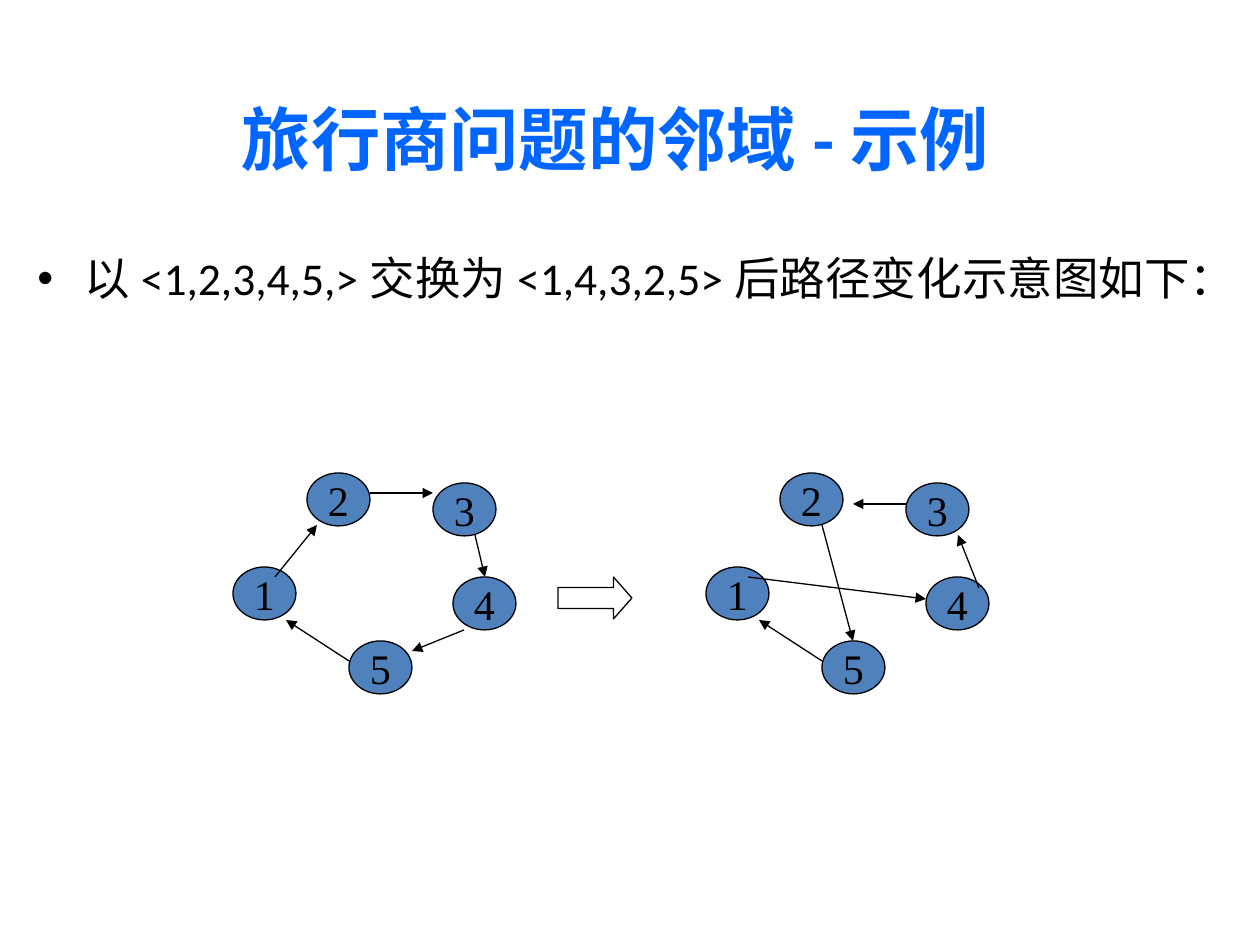
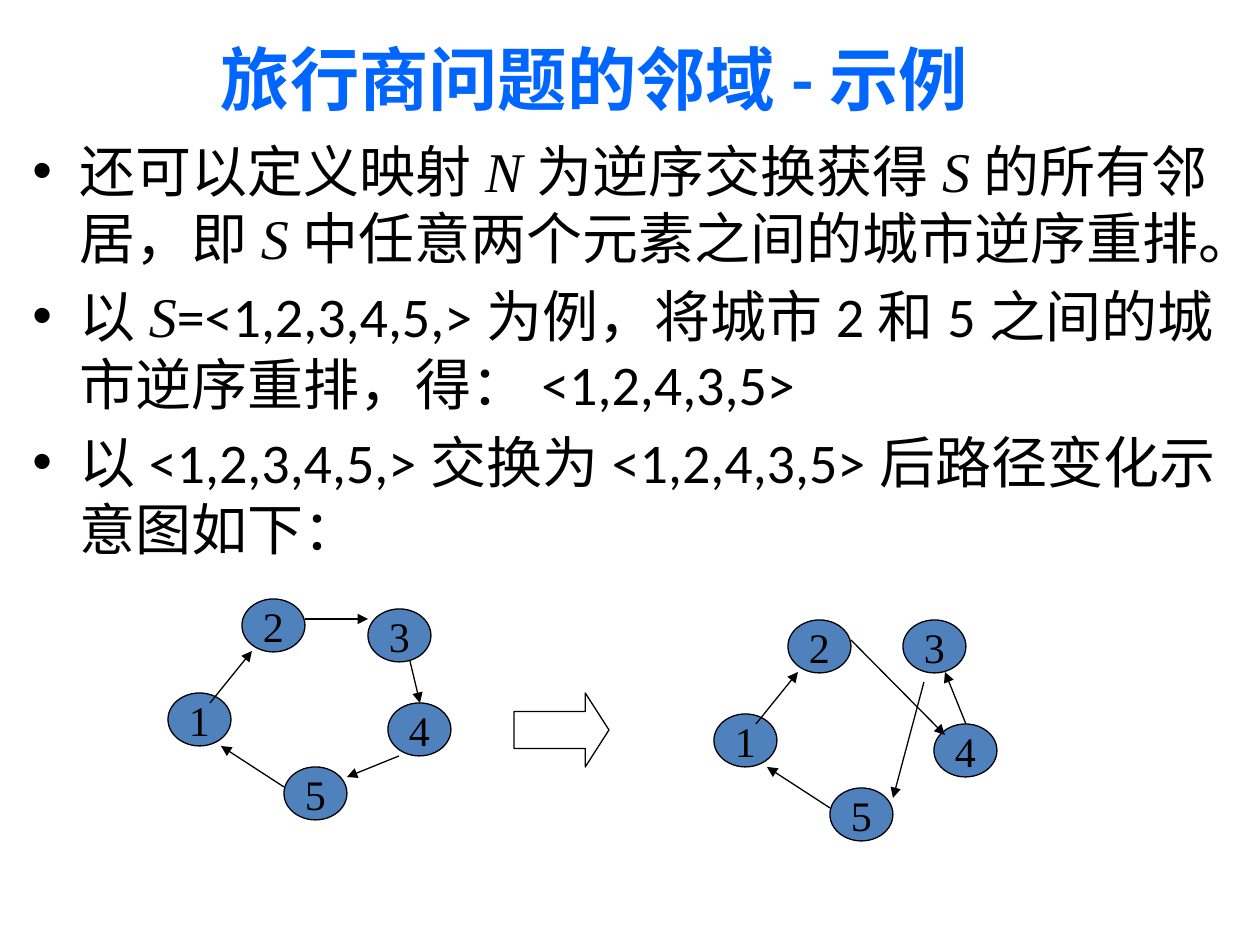
import pptx
import pptx.util
import pptx.dml.color
import pptx.enum.shapes
import pptx.enum.text
import pptx.oxml
import pptx.oxml.ns
import lxml.etree

SCALE = 914400 // 126  # EMU per px
COLORS = {"title": "0066FF", "text": "000000", "node": "4F81BD", "arrow": "FFFFFF"}
SANS, SERIF = "Calibri", "Times New Roman"
TITLE = "旅行商问题的邻域-示例"
INDENT = 47
NODE_W, NODE_H = 63, 53

# Graph layouts, measured from the corner of node 1
RING = {"1": (0, 0), "5": (116, 74), "3": (200, -84), "2": (74, -94), "4": (220, 10)}
SQUARE = {**RING, "3": (189, -94)}

# Edges as (from x, from y, to x, to y)
ONE_TWO = (42, 10, 84, -42)
FIVE_ONE = (116, 94, 53, 53)
TOUR = [ONE_TWO, (137, -74, 200, -74), (242, -32, 252, 10),
        (231, 63, 179, 84), FIVE_ONE]
SWAP = [(42, 10, 220, 32), (116, -42, 147, 74), (200, -63, 147, -63),
        (273, 21, 252, -32), FIVE_ONE]
TURN = [ONE_TWO, (137, -74, 231, 21), (252, 10, 231, -42),
        (210, -32, 179, 84), FIVE_ONE]


def px(*values):
    return [pptx.util.Emu(value * SCALE) for value in values]


def color(name):
    return pptx.dml.color.RGBColor.from_string(COLORS[name])


def style(para, size, face, tint="text", bold=False):
    para.font.size = pptx.util.Pt(size)
    para.font.name = face
    para.font.bold = bold
    para.font.color.rgb = color(tint)


def add_box(slide, box):
    frame = slide.shapes.add_textbox(*px(*box)).text_frame
    frame.word_wrap = True
    return frame


def add_title(slide, box):
    frame = add_box(slide, box)
    frame.vertical_anchor = pptx.enum.text.MSO_ANCHOR.MIDDLE
    para = frame.paragraphs[0]
    para.text = TITLE
    para.alignment = pptx.enum.text.PP_ALIGN.CENTER
    style(para, 39.6, SANS, "title", True)


def add_bullet(para):
    props = para._p.get_or_add_pPr()
    props.set("marL", str(INDENT * SCALE))
    props.set("indent", str(-INDENT * SCALE))
    mark = lxml.etree.Element(pptx.oxml.ns.qn("a:buChar"), char="•")
    font = lxml.etree.Element(pptx.oxml.ns.qn("a:buFont"), typeface="Arial")
    place = props.find(pptx.oxml.ns.qn("a:defRPr"))
    place.addprevious(font)
    place.addprevious(mark)


def add_body(slide, box, size, lines):
    """Add bullets; text between asterisks is an italic symbol."""
    frame = add_box(slide, box)
    for num, line in enumerate(lines):
        para = frame.add_paragraph() if num else frame.paragraphs[0]
        style(para, size, SANS)
        para.space_before = pptx.util.Pt(size * 0.2)
        add_bullet(para)
        for part, text in enumerate(line.split("*")):
            run = para.add_run()
            run.text = text
            if part % 2:
                run.font.name = SERIF
                run.font.italic = True


def add_form(group, kind, box, fill):
    form = group.shapes.add_shape(kind, *px(*box))
    form.shadow.inherit = False
    form.fill.solid()
    form.fill.fore_color.rgb = color(fill)
    form.line.color.rgb = color("text")
    form.line.width = pptx.util.Pt(0.75)
    return form


def add_node(group, label, left, top):
    kind = pptx.enum.shapes.MSO_SHAPE.OVAL
    frame = add_form(group, kind, (left, top, NODE_W, NODE_H), "node").text_frame
    frame.word_wrap = False
    frame.vertical_anchor = pptx.enum.text.MSO_ANCHOR.MIDDLE
    para = frame.paragraphs[0]
    para.text = label
    para.alignment = pptx.enum.text.PP_ALIGN.CENTER
    style(para, 24, SERIF)


def add_edge(group, ends):
    kind = pptx.enum.shapes.MSO_CONNECTOR.STRAIGHT
    edge = group.shapes.add_connector(kind, *px(*ends))
    edge.line.color.rgb = color("text")
    edge.line.width = pptx.util.Pt(0.75)
    props = edge._element.spPr
    line = props.find(pptx.oxml.ns.qn("a:ln"))
    lxml.etree.SubElement(line, pptx.oxml.ns.qn("a:tailEnd"), type="triangle")
    lxml.etree.SubElement(props, pptx.oxml.ns.qn("a:effectLst"))


def add_graph(group, left, top, nodes, edges):
    for label, (x, y) in nodes.items():
        add_node(group, label, left + x, top + y)
    for x1, y1, x2, y2 in edges:
        add_edge(group, (left + x1, top + y1, left + x2, top + y2))


def add_arrow(group, box, head):
    kind = pptx.enum.shapes.MSO_SHAPE.RIGHT_ARROW
    arrow = add_form(group, kind, box, "arrow")
    arrow.adjustments[0] = 0.5
    arrow.adjustments[1] = head


def main():
    deck = pptx.Presentation()
    deck.slide_width, deck.slide_height = px(1260, 945)
    blank = deck.slide_layouts[6]

    # Slide 1: swap of two cities
    slide = deck.slides.add_slide(blank)
    add_title(slide, (64, 96, 1103, 84))
    add_body(slide, (25, 244, 1181, 566), 26,
             ["以<1,2,3,4,5,>交换为<1,4,3,2,5>后路径变化示意图如下："])
    group = slide.shapes.add_group_shape()
    add_graph(group, 233, 567, RING, TOUR)
    add_graph(group, 706, 567, RING, SWAP)
    add_arrow(group, (558, 577, 74, 42), 0.44)

    # Slide 2: reversed order between two cities
    slide = deck.slides.add_slide(blank)
    add_title(slide, (43, 30, 1103, 95))
    add_body(slide, (20, 130, 1235, 809), 32, [
        "还可以定义映射*N*为逆序交换获得*S*的所有邻居，即*S*中任意两个元素之间的城市逆序重排。",
        "以*S*=<1,2,3,4,5,>为例，将城市2和5之间的城市逆序重排，得：<1,2,4,3,5>",
        "以<1,2,3,4,5,>交换为<1,2,4,3,5>后路径变化示意图如下：",
    ])
    group = slide.shapes.add_group_shape()
    add_graph(group, 168, 693, RING, TOUR)
    add_graph(group, 714, 714, SQUARE, TURN)
    add_arrow(group, (514, 693, 95, 74), 0.32)

    deck.save("out.pptx")


if __name__ == "__main__":
    main()
